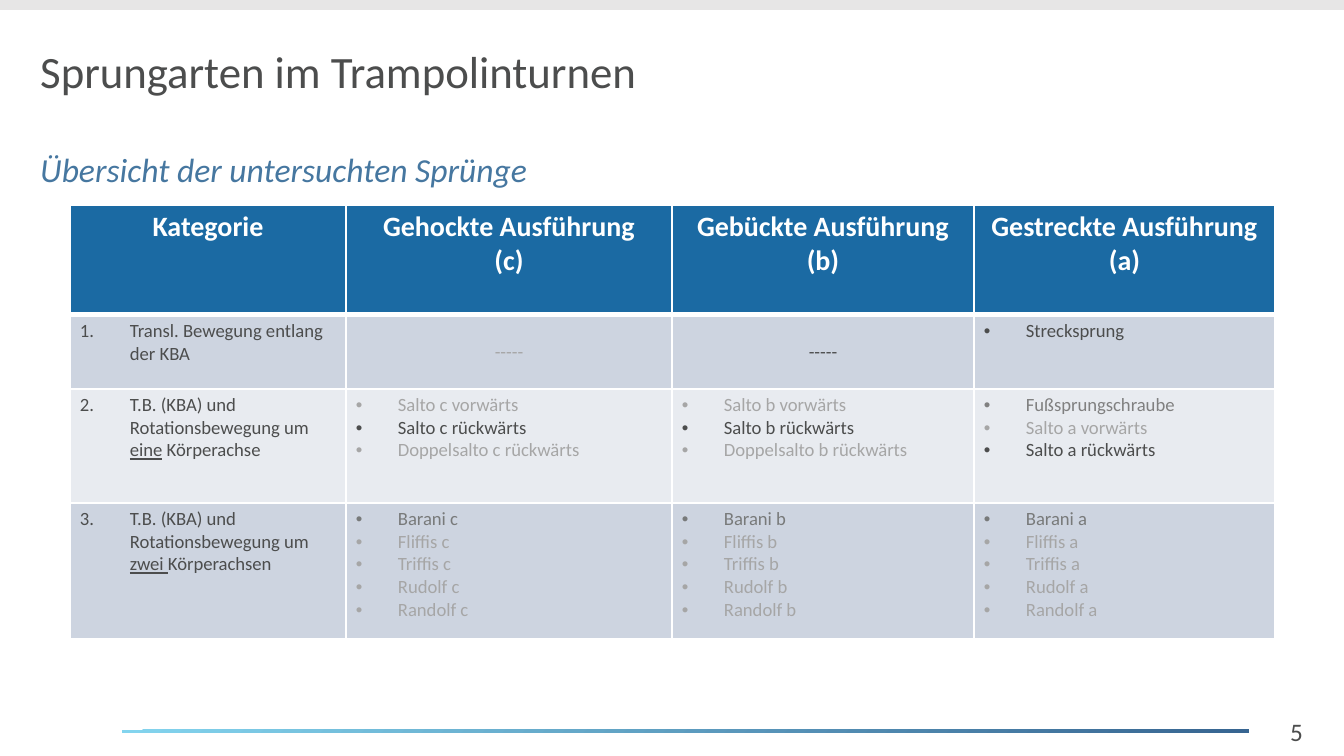
from dataclasses import dataclass

from lxml import etree
from pptx import Presentation
from pptx.dml.color import RGBColor
from pptx.enum.shapes import MSO_SHAPE
from pptx.enum.text import MSO_ANCHOR, PP_ALIGN
from pptx.oxml.ns import qn
from pptx.util import Pt

EMU_PER_PX = 914400 / 134.4
RECTANGLE = MSO_SHAPE.RECTANGLE
TOP, MIDDLE = MSO_ANCHOR.TOP, MSO_ANCHOR.MIDDLE
LEFT, CENTER = PP_ALIGN.LEFT, PP_ALIGN.CENTER


@dataclass(frozen=True)
class Theme:
    font: str = "Calibri"
    ink: str = "4C4D4D"
    medium: str = "808080"
    muted: str = "787A7A"
    faded: str = "A6A6A6"
    white: str = "FFFFFF"
    accent: str = "4677A0"
    header: str = "1B6AA3"
    band_dark: str = "CDD4E0"
    band_light: str = "E8EBF0"
    top_bar: str = "E7E6E6"
    rule_start: str = "83D4EE"
    rule_end: str = "376591"
    title_size: float = 24
    subtitle_size: float = 18
    header_size: float = 15
    number_size: float = 13.5
    cell_size: float = 10


THEME = Theme()


@dataclass(frozen=True)
class Area:
    left: int
    top: int
    width: int
    height: int

    def emu(self) -> tuple[int, ...]:
        return tuple(px(n) for n in (self.left, self.top, self.width, self.height))


@dataclass(frozen=True)
class Line:
    """A paragraph; number > 0 numbers it, bullet marks it, underlined names a part of the text."""
    text: str
    color: str = THEME.ink
    size: float = THEME.cell_size
    align: PP_ALIGN = LEFT
    bold: bool = False
    italic: bool = False
    bullet: bool = False
    number: int = 0
    underlined: str = ""


@dataclass(frozen=True)
class CellText:
    lines: tuple[Line, ...]
    anchor: MSO_ANCHOR = TOP


def px(length: int) -> int:
    return round(length * EMU_PER_PX)


def rgb(color: str) -> RGBColor:
    return RGBColor.from_string(color)


def add_marker(para, line: Line) -> None:
    properties = para._p.get_or_add_pPr()
    indent = px(50 if line.number else 42)
    properties.set("marL", str(indent))
    properties.set("indent", str(-indent))
    if line.number:
        etree.SubElement(properties, qn("a:buAutoNum"), type="arabicPeriod",
                         startAt=str(line.number))
    else:
        etree.SubElement(properties, qn("a:buFont"), typeface="Arial")
        etree.SubElement(properties, qn("a:buChar"), char="•")


def write_line(para, line: Line) -> None:
    para.alignment = line.align
    if line.bullet or line.number:
        add_marker(para, line)
    font = para.font
    font.name, font.size = THEME.font, Pt(line.size)
    font.bold, font.italic = line.bold, line.italic
    font.color.rgb = rgb(line.color)
    before, part, after = line.text.partition(line.underlined) if line.underlined else (line.text, "", "")
    for text in filter(None, (before, part, after)):
        span = para.add_run()
        span.text = text
        if text == part:
            span.font.underline = True


def write_lines(frame, lines: tuple[Line, ...]) -> None:
    for index, line in enumerate(lines):
        write_line(frame.add_paragraph() if index else frame.paragraphs[0], line)


def add_text(page, area: Area, line: Line, anchor: MSO_ANCHOR = TOP):
    frame = page.shapes.add_textbox(*area.emu()).text_frame
    frame.word_wrap = True
    frame.vertical_anchor = anchor
    write_lines(frame, (line,))
    return frame.paragraphs[0]


def add_bar(page, area: Area):
    bar = page.shapes.add_shape(RECTANGLE, *area.emu())
    bar.shadow.inherit = False
    bar.line.fill.background()
    return bar


def add_borders(cell, top: int, bottom: int) -> None:
    properties = cell._tc.get_or_add_tcPr()
    for side, width in (("L", 1), ("R", 1), ("T", top), ("B", bottom)):
        border = etree.SubElement(properties, qn(f"a:ln{side}"), w=str(Pt(width)))
        fill = etree.SubElement(border, qn("a:solidFill"))
        etree.SubElement(fill, qn("a:srgbClr"), val=THEME.white)


def add_jump_table(page, area: Area, widths: tuple[int, ...], heights: tuple[int, ...],
                   rows: list[list[CellText]]) -> None:
    table = page.shapes.add_table(len(rows), len(widths), *area.emu()).table
    for column, width in zip(table.columns, widths):
        column.width = px(width)
    for row, height in zip(table.rows, heights):
        row.height = px(height)
    fills = (THEME.header, THEME.band_dark, THEME.band_light, THEME.band_dark)
    for r, row in enumerate(rows):
        for c, content in enumerate(row):
            cell = table.cell(r, c)
            add_borders(cell, top=3 if r == 1 else 1, bottom=3 if r == 0 else 1)
            cell.fill.solid()
            cell.fill.fore_color.rgb = rgb(fills[r])
            cell.margin_left = cell.margin_right = px(10)
            cell.margin_top = cell.margin_bottom = px(5)
            cell.vertical_anchor = content.anchor
            write_lines(cell.text_frame, content.lines)


def header(*texts: str) -> CellText:
    return CellText(tuple(Line(text, THEME.white, THEME.header_size, CENTER, bold=True)
                          for text in texts))


def category(number: int, text: str, underlined: str = "") -> CellText:
    return CellText((Line(text, number=number, underlined=underlined),))


def no_jump(color: str) -> CellText:
    return CellText((Line("-----", color, align=CENTER),), MIDDLE)


def jumps(*items: tuple[str, str]) -> CellText:
    return CellText(tuple(Line(text, color, bullet=True) for text, color in items))


def somersaults(form: str) -> CellText:
    return jumps((f"Salto {form} vorwärts", THEME.faded), (f"Salto {form} rückwärts", THEME.ink),
                 (f"Doppelsalto {form} rückwärts", THEME.faded))


def twists(form: str) -> CellText:
    faded = ((f"{name} {form}", THEME.faded) for name in ("Fliffis", "Triffis", "Rudolf", "Randolf"))
    return jumps((f"Barani {form}", THEME.muted), *faded)


def main() -> None:
    deck = Presentation()
    deck.slide_width, deck.slide_height = px(1344), px(756)
    page = deck.slides.add_slide(deck.slide_layouts[6])

    # Top bar, footer rule and page number
    top_bar = add_bar(page, Area(0, 0, 1344, 10))
    top_bar.fill.solid()
    top_bar.fill.fore_color.rgb = rgb(THEME.top_bar)
    rule = add_bar(page, Area(122, 730, 1127, 3))
    rule.fill.gradient()
    rule.fill.gradient_angle = 315
    for stop, color in zip(rule.fill.gradient_stops, (THEME.rule_start, THEME.rule_end)):
        stop.color.rgb = rgb(color)
    add_text(page, Area(1257, 710, 79, 44), Line("5", size=THEME.number_size, align=CENTER))

    # Table of jumps
    rows = [
        [header("Kategorie"), header("Gehockte Ausführung", "(c)"),
         header("Gebückte Ausführung", "(b)"), header("Gestreckte Ausführung", "(a)")],
        [category(1, "Transl. Bewegung entlang der KBA"), no_jump(THEME.faded),
         no_jump(THEME.ink), jumps(("Strecksprung", THEME.ink))],
        [category(2, "T.B. (KBA) und Rotationsbewegung um eine Körperachse", "eine"),
         somersaults("c"), somersaults("b"),
         jumps(("Fußsprungschraube", THEME.medium), ("Salto a vorwärts", THEME.faded),
               ("Salto a rückwärts", THEME.ink))],
        [category(3, "T.B. (KBA) und Rotationsbewegung um zwei Körperachsen", "zwei "),
         twists("c"), twists("b"), twists("a")],
    ]
    add_jump_table(page, Area(70, 205, 1205, 434), (276, 326, 302, 301), (110, 74, 114, 136), rows)

    # Title and subtitle
    title = add_text(page, Area(27, 42, 953, 63),
                     Line("Sprungarten im Trampolinturnen", size=THEME.title_size), MIDDLE)
    title.line_spacing = 0.9
    subtitle = add_text(page, Area(27, 142, 1292, 555),
                        Line("Übersicht der untersuchten Sprünge", THEME.accent,
                             THEME.subtitle_size, italic=True))
    subtitle.line_spacing = Pt(22)
    subtitle.space_before = Pt(7.5)

    deck.save("out.pptx")


if __name__ == "__main__":
    main()
